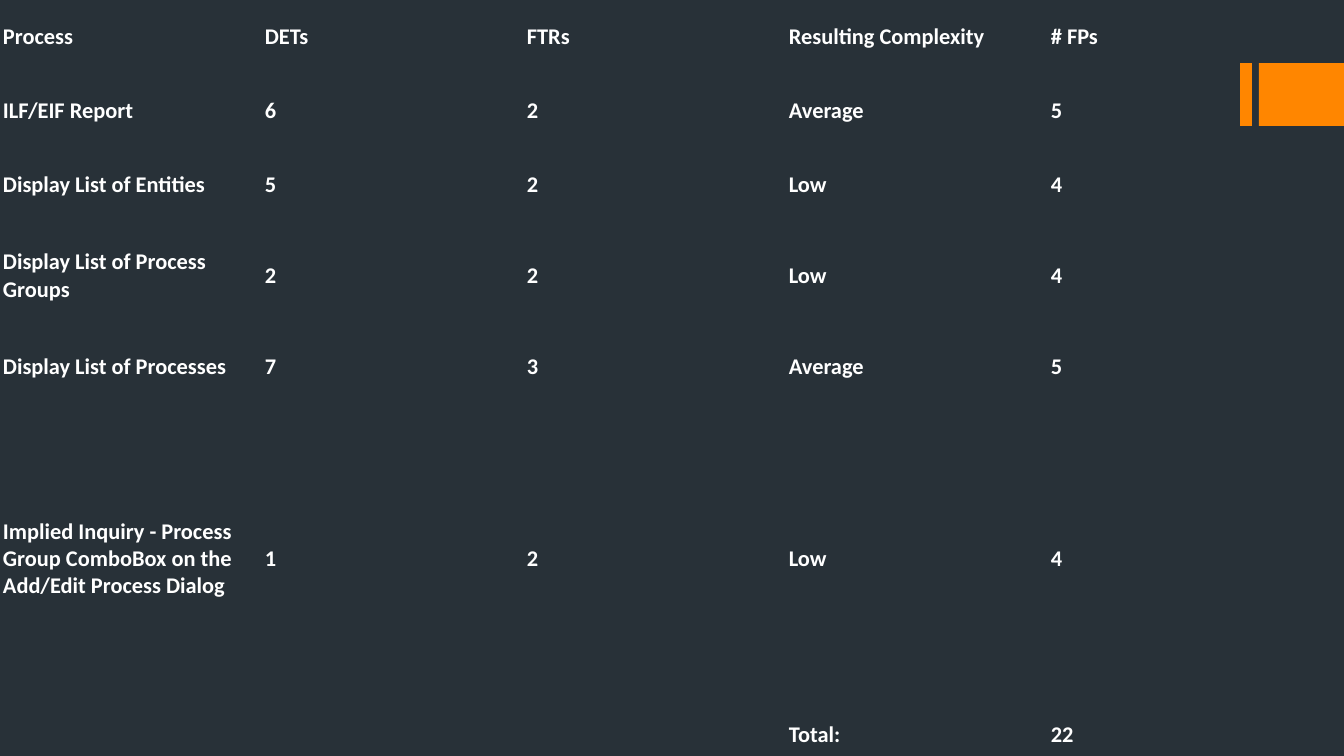
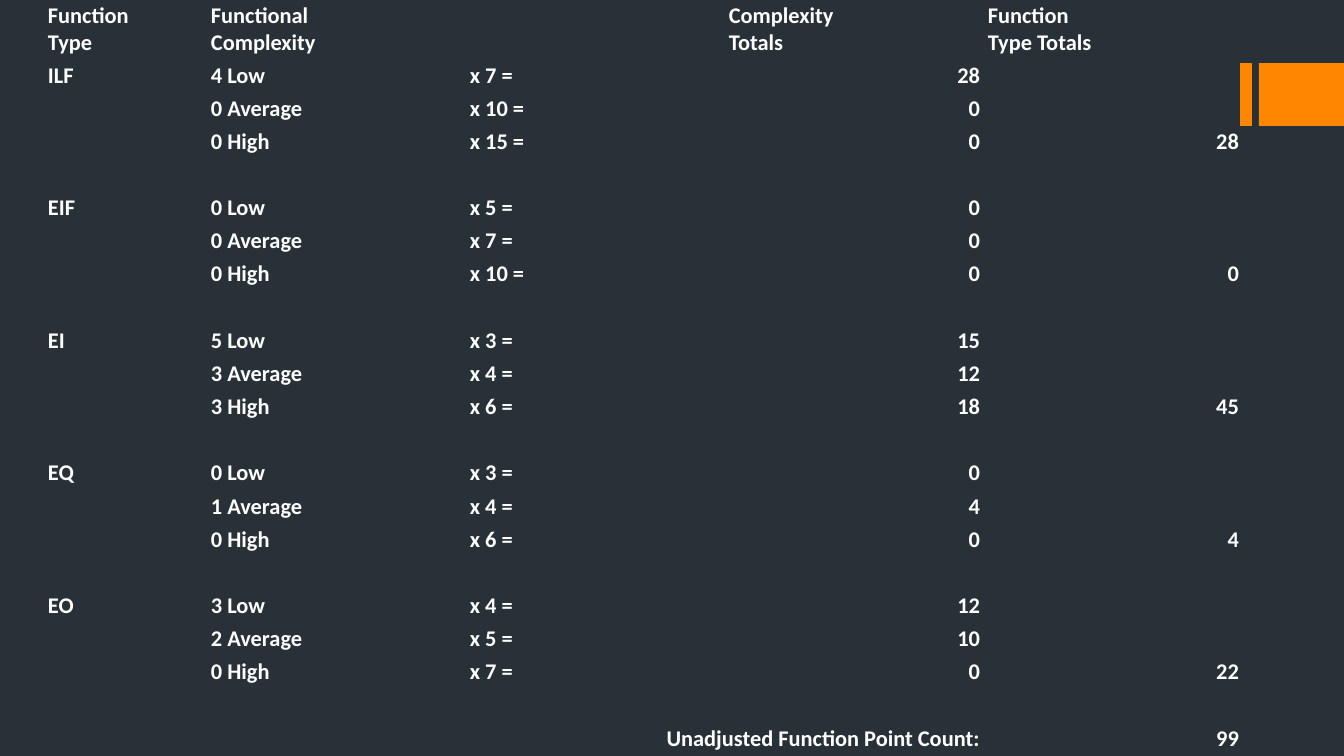
"""Build two slides that tabulate a function point count."""
from typing import NamedTuple

from lxml.etree import SubElement
from pptx import Presentation
from pptx.dml.color import RGBColor
from pptx.enum.shapes import MSO_SHAPE as Shape
from pptx.enum.text import MSO_ANCHOR as Anchor, PP_ALIGN as Align
from pptx.oxml.ns import qn
from pptx.slide import Slide
from pptx.table import Table, _Cell as Cell
from pptx.util import Emu, Pt

EMU_PER_PX = 914400 / 134.4
SLIDE_WIDTH, SLIDE_HEIGHT = 1344, 756
COLORS = {"background": "283138", "accent": "FF8600", "text": "FFFFFF"}
FONT_NAME, FONT_SIZE = "Calibri", 12
PLAIN_TABLE_STYLE = "{2D5ABB26-0587-4C30-8999-92F81FD0307C}"


class Bar(NamedTuple):
    left: int
    width: int


class FunctionType(NamedTuple):
    name: str
    counts: tuple[int, int, int]
    weights: tuple[int, int, int]


class TableSpec(NamedTuple):
    left: int
    columns: list[int]
    rows: list[int]
    margin_x: int
    margin_y: int
    texts: list[list[str]]
    right_columns: tuple[int, ...] = ()


BAR_TOP, BAR_HEIGHT = 63, 63
BARS = [Bar(1240, 12), Bar(1259, 85)]

PROCESS_TEXTS = [
    ["Process", "DETs", "FTRs", "Resulting Complexity", "# FPs"],
    ["ILF/EIF Report", "6", "2", "Average", "5"],
    ["Display List of Entities", "5", "2", "Low", "4"],
    ["Display List of Process Groups", "2", "2", "Low", "4"],
    ["Display List of Processes", "7", "3", "Average", "5"],
    ["Implied Inquiry - Process Group ComboBox on the Add/Edit Process Dialog",
     "1", "2", "Low", "4"],
    ["", "", "", "Total:", "22"],
]
COUNT_HEADER = ["Function\nType", "Functional\nComplexity", "",
                "Complexity\nTotals", "Function\nType Totals"]
COUNT_LABEL = "Unadjusted Function Point Count:"
LEVELS = ["Low", "Average", "High"]
FUNCTION_TYPES = [
    FunctionType("ILF", (4, 0, 0), (7, 10, 15)),
    FunctionType("EIF", (0, 0, 0), (5, 7, 10)),
    FunctionType("EI", (5, 3, 3), (3, 4, 6)),
    FunctionType("EQ", (0, 1, 0), (3, 4, 6)),
    FunctionType("EO", (3, 2, 0), (4, 5, 7)),
]


def px(length: int) -> Emu:
    """Turn pixels into EMU."""
    return Emu(round(length * EMU_PER_PX))


def color(name: str) -> RGBColor:
    """Look up a palette colour."""
    return RGBColor.from_string(COLORS[name])


def add_slide(presentation: Presentation) -> Slide:
    """Add a blank slide with the accent bars."""
    slide = presentation.slides.add_slide(presentation.slide_layouts[6])
    for bar in BARS:
        shape = slide.shapes.add_shape(
            Shape.RECTANGLE, px(bar.left), px(BAR_TOP), px(bar.width), px(BAR_HEIGHT))
        shape.shadow.inherit = False
        shape.fill.solid()
        shape.fill.fore_color.rgb = color("accent")
        shape.line.fill.background()
    return slide


def write_cell(cell: Cell, text: str, spec: TableSpec, align: Align) -> None:
    """Fill in and format one table cell."""
    cell.fill.background()
    cell.vertical_anchor = Anchor.MIDDLE
    cell.margin_left = cell.margin_right = px(spec.margin_x)
    cell.margin_top = cell.margin_bottom = px(spec.margin_y)
    paragraph = cell.text_frame.paragraphs[0]
    paragraph.alignment = align
    if not text:
        SubElement(paragraph._p, qn("a:endParaRPr"), sz=str(FONT_SIZE * 100))
        return
    paragraph.text = text
    for run in paragraph.runs:
        run.font.name = FONT_NAME
        run.font.size = Pt(FONT_SIZE)
        run.font.bold = True
        run.font.color.rgb = color("text")


def add_table(slide: Slide, spec: TableSpec) -> Table:
    """Draw a plain table from the top of the slide."""
    frame = slide.shapes.add_table(
        len(spec.rows), len(spec.columns), px(spec.left), px(0),
        px(sum(spec.columns)), px(sum(spec.rows)))
    table = frame.table
    table.first_row = table.horz_banding = False
    for style in frame.element.iter(qn("a:tableStyleId")):
        style.text = PLAIN_TABLE_STYLE
    for column, width in zip(table.columns, spec.columns):
        column.width = px(width)
    for row, height in zip(table.rows, spec.rows):
        row.height = px(height)
    for row_index, texts in enumerate(spec.texts):
        for column_index, text in enumerate(texts):
            right = row_index > 0 and column_index in spec.right_columns
            write_cell(table.cell(row_index, column_index), text, spec,
                       Align.RIGHT if right else Align.LEFT)
    return table


def count_texts() -> list[list[str]]:
    """Work out the rows of the function point count."""
    texts = [COUNT_HEADER]
    grand_total = 0
    for kind in FUNCTION_TYPES:
        totals = [count * weight for count, weight in zip(kind.counts, kind.weights)]
        grand_total += sum(totals)
        for index, level in enumerate(LEVELS):
            texts.append([
                kind.name if index == 0 else "",
                f"{kind.counts[index]} {level}",
                f"x {kind.weights[index]} =",
                str(totals[index]),
                str(sum(totals)) if level == LEVELS[-1] else "",
            ])
        texts.append([""] * len(COUNT_HEADER))
    texts.append([COUNT_LABEL, "", "", "", str(grand_total)])
    return texts


def spread(total: int, parts: int) -> list[int]:
    """Split a length into nearly equal whole parts."""
    edges = [round(total * index / parts) for index in range(parts + 1)]
    return [end - start for start, end in zip(edges, edges[1:])]


def build_process_slide(presentation: Presentation) -> None:
    """Build the slide that rates each process."""
    rows = [74, 74, 74, 108, 74, 310, 42]
    add_table(add_slide(presentation),
              TableSpec(0, [262] * 5, rows, 3, 3, PROCESS_TEXTS))


def build_count_slide(presentation: Presentation) -> None:
    """Build the slide that totals the function points."""
    texts = count_texts()
    header_height = 59
    rows = [header_height, *spread(SLIDE_HEIGHT - header_height, len(texts) - 1)]
    table = add_table(add_slide(presentation),
                      TableSpec(44, [163] + [259] * 4, rows, 4, 2, texts, (3, 4)))
    last_row = len(texts) - 1
    for row_index, row_texts in enumerate(texts):
        if not any(row_texts):
            table.cell(row_index, 0).merge(table.cell(row_index, 4))
    label = table.cell(last_row, 0)
    label.merge(table.cell(last_row, 3))
    label.text_frame.paragraphs[0].alignment = Align.RIGHT


def main() -> None:
    """Build and save the presentation."""
    presentation = Presentation()
    presentation.slide_width = px(SLIDE_WIDTH)
    presentation.slide_height = px(SLIDE_HEIGHT)
    background = presentation.slide_master.background.fill
    background.solid()
    background.fore_color.rgb = color("background")
    build_process_slide(presentation)
    build_count_slide(presentation)
    presentation.save("out.pptx")


if __name__ == "__main__":
    main()
